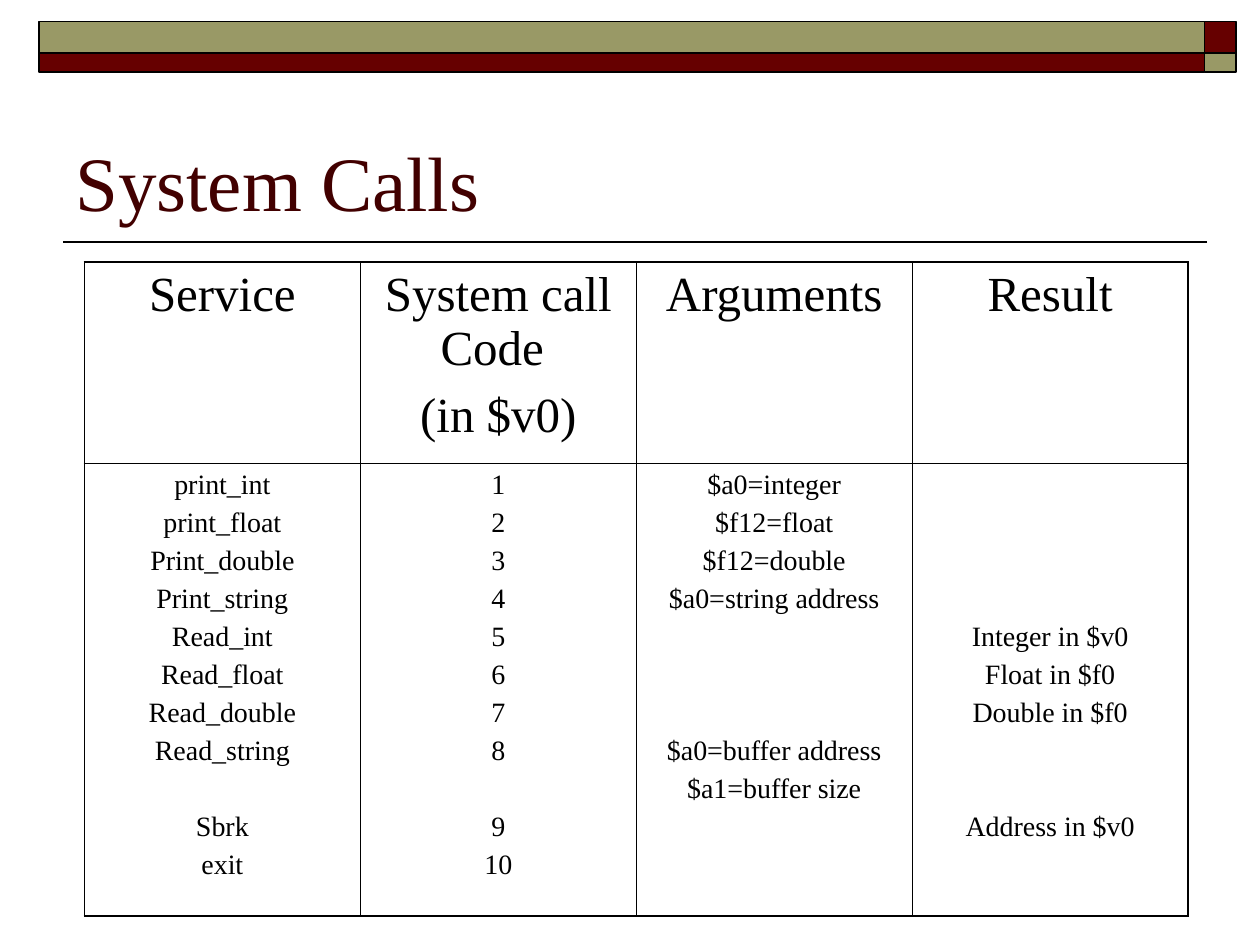
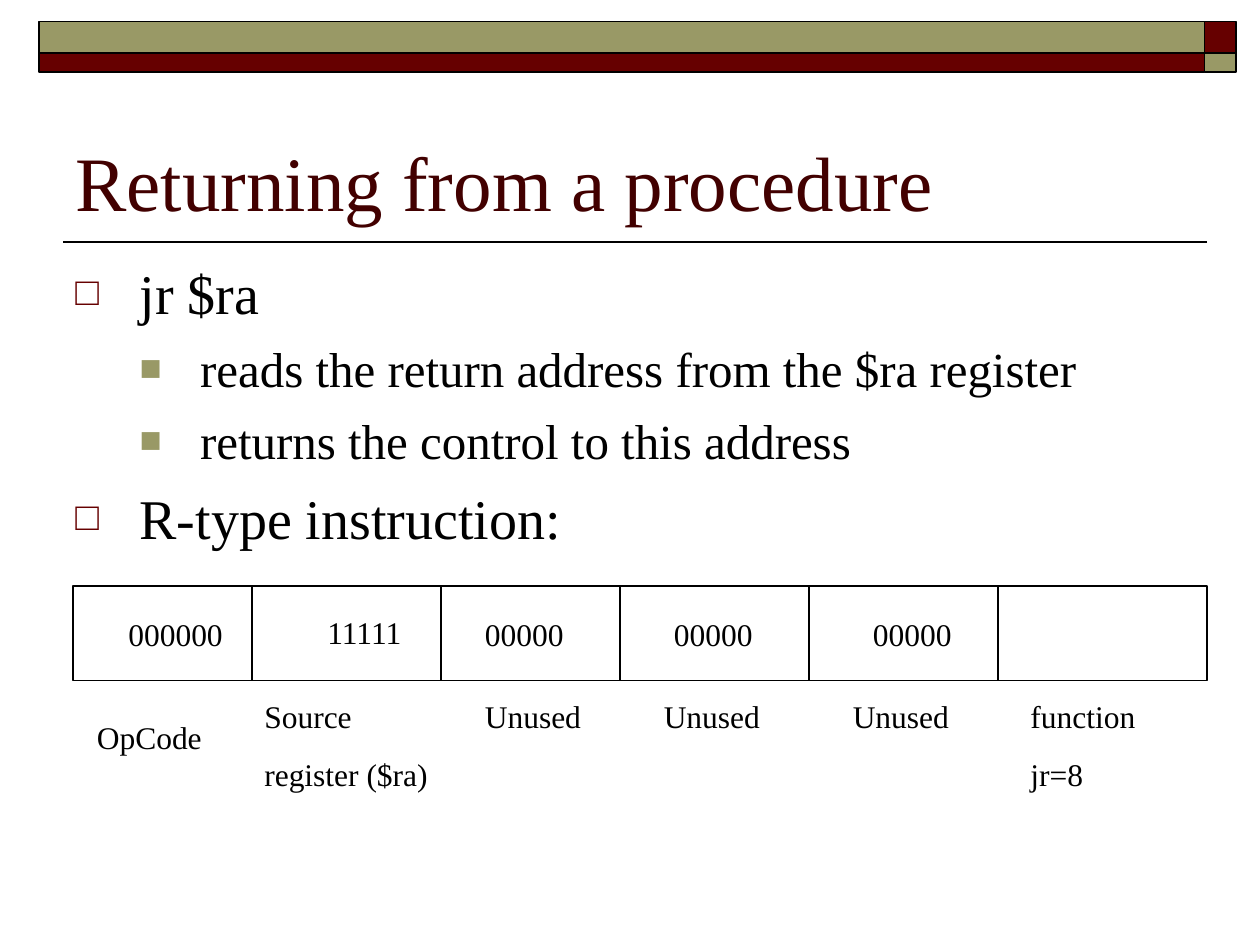
"""Build two slides on system calls and on returning from a procedure."""
from lxml import etree
from pptx import Presentation, util as u
from pptx.dml.color import RGBColor
from pptx.enum import shapes, text
from pptx.oxml import ns

COLORS = {"olive": "999966", "maroon": "660000", "title": "420000",
          "black": "000000", "white": "FFFFFF"}
FONT = "Times New Roman"
TABLE_LEADING, TEXT_LEADING = 1.105, 1.21


def add_element(parent, tag, **attributes):
    return etree.SubElement(parent, ns.qn(tag), attributes)


def write(frame, lines, size, color="black", before=0, leading=TEXT_LEADING, align="LEFT"):
    """Write lines; None leaves a line open, and open lines become spacing."""
    pitch = size * leading + before
    open_lines = 0
    started = False
    for line in lines:
        if line is None:
            open_lines += 1
            continue
        para = frame.add_paragraph() if started else frame.paragraphs[0]
        if started:
            para.space_before = u.Pt(round(before + open_lines * pitch, 1))
        elif open_lines:
            frame._txBody.getparent().tcPr.set("marT", str(u.Inches(0.05) + u.Pt(open_lines * pitch)))
        para.line_spacing = u.Pt(round(size * leading, 1))
        para.alignment = getattr(text.PP_ALIGN, align)
        span = para.add_run()
        span.text = line
        span.font.size = u.Pt(size)
        span.font.name = FONT
        span.font.color.rgb = RGBColor.from_string(COLORS[color])
        started, open_lines = True, 0


deck = Presentation()
deck.slide_width, deck.slide_height = u.Inches(10), u.Inches(7.5)
calls_page, return_page = [deck.slides.add_slide(deck.slide_layouts[6]) for _ in range(2)]

WORD_LEFT, WORD_TOP, WORD_WIDTH, WORD_HEIGHT = 0.58, 4.65, 9, 0.75
rectangles = [(return_page, WORD_LEFT, WORD_TOP, WORD_WIDTH, WORD_HEIGHT, "white", 0.75)]
lines = [(return_page, x, WORD_TOP, x, WORD_TOP + WORD_HEIGHT, 0.75)
         for x in (2, 3.5, 4.92, 6.42, 7.92)]

for page, title in ((calls_page, "System Calls"), (return_page, "Returning from a procedure")):
    rectangles += [
        (page, 9.56, 0.17, 0.25, 0.25, "maroon", 1),
        (page, 0.31, 0.17, 9.25, 0.25, "olive", 1),
        (page, 0.31, 0.42, 9.25, 0.15, "maroon", 1),
        (page, 9.56, 0.42, 0.25, 0.15, "olive", 1),
    ]
    lines.append((page, 9.58, 1.92, 0.5, 1.92, 1))
    box = page.shapes.add_textbox(u.Inches(0.5), u.Inches(0.58), u.Inches(9), u.Inches(1.25))
    box.text_frame.word_wrap = True
    box.text_frame.vertical_anchor = text.MSO_ANCHOR.BOTTOM
    box.text_frame.margin_bottom = u.Inches(0.03)
    write(box.text_frame, [title], 44, "title")

for page, left, top, width, height, color, weight in rectangles:
    box = page.shapes.add_shape(shapes.MSO_SHAPE.RECTANGLE, u.Inches(left), u.Inches(top),
                                u.Inches(width), u.Inches(height))
    box.shadow.inherit = False
    box.fill.solid()
    box.fill.fore_color.rgb = RGBColor.from_string(COLORS[color])
    box.line.color.rgb = RGBColor.from_string(COLORS["black"])
    box.line.width = u.Pt(weight)

for page, start_x, start_y, end_x, end_y, weight in lines:
    connector = page.shapes.add_connector(shapes.MSO_CONNECTOR.STRAIGHT, u.Inches(start_x),
                                          u.Inches(start_y), u.Inches(end_x), u.Inches(end_y))
    connector.line.color.rgb = RGBColor.from_string(COLORS["black"])
    connector.line.width = u.Pt(weight)
    add_element(connector._element.spPr, "a:effectLst")

columns = [
    (["Service"],
     ["print_int", "print_float", "Print_double", "Print_string", "Read_int", "Read_float",
      "Read_double", "Read_string", None, "Sbrk", "exit"]),
    (["System call Code ", "(in $v0)"],
     ["1", "2", "3", "4", "5", "6", "7", "8", None, "9", "10"]),
    (["Arguments"],
     ["$a0=integer", "$f12=float", "$f12=double", "$a0=string address", None, None, None,
      "$a0=buffer address", "$a1=buffer size"]),
    (["Result"],
     [None, None, None, None, "Integer in $v0", "Float in $f0", "Double in $f0", None, None,
      "Address in $v0"]),
]
table = calls_page.shapes.add_table(2, len(columns), u.Inches(0.67), u.Inches(2.08),
                                    u.Inches(8.76), u.Inches(5.19)).table
table.first_row = table.horz_banding = False
for row, height in zip(table.rows, (1.6, 3.59)):
    row.height = u.Inches(height)
for column_index, column in enumerate(columns):
    table.columns[column_index].width = u.Inches(2.19)
    for row_index, (size, before) in enumerate(((28, 7), (16, 4))):
        cell = table.cell(row_index, column_index)
        write(cell.text_frame, column[row_index], size, before=before,
              leading=TABLE_LEADING, align="CENTER")
        properties = cell._tc.get_or_add_tcPr()
        outer_sides = {"L": column_index == 0, "R": column_index == len(columns) - 1,
                       "T": row_index == 0, "B": row_index == 1}
        for side, outer in outer_sides.items():
            border = add_element(properties, f"a:ln{side}", w=str(u.Pt(1.08 if outer else 0.45)))
            add_element(add_element(border, "a:solidFill"), "a:srgbClr", val=COLORS["black"])
        cell.fill.background()

bullet_levels = [
    {"mark": "□", "color": "maroon", "scale": 70, "left": 0.51, "hang": 0.51, "size": 32, "before": 8},
    {"mark": "■", "color": "olive", "scale": 75, "left": 0.99, "hang": 0.48, "size": 28, "before": 7},
]
points = [
    (0, "jr $ra"),
    (1, "reads the return address from the $ra register"),
    (1, "returns the control to this address"),
    (0, "R-type instruction:"),
]
box = return_page.shapes.add_textbox(u.Inches(0.5), u.Inches(2), u.Inches(9), u.Inches(4.7))
box.text_frame.word_wrap = True
write(box.text_frame, [point for _, point in points], 32)
for index, (para, (level, _)) in enumerate(zip(box.text_frame.paragraphs, points)):
    style = bullet_levels[level]
    para.level = level
    para.line_spacing = u.Pt(round(style["size"] * TEXT_LEADING, 1))
    para.space_before = u.Pt(style["before"] if index else 0)
    para.runs[0].font.size = u.Pt(style["size"])
    properties = para._p.get_or_add_pPr()
    properties.set("marL", str(u.Inches(style["left"])))
    properties.set("indent", str(-u.Inches(style["hang"])))
    add_element(add_element(properties, "a:buClr"), "a:srgbClr", val=COLORS[style["color"]])
    add_element(properties, "a:buSzPct", val=str(style["scale"] * 1000))
    add_element(properties, "a:buFont", typeface=FONT)
    add_element(properties, "a:buChar", char=style["mark"])

word_labels = [
    (0.92, 4.83, 1.25, ["000000"]),
    (2.5, 4.81, 1.33, ["11111"]),
    (3.75, 4.83, 1.33, ["00000"]),
    (5.25, 4.83, 1.33, ["00000"]),
    (6.83, 4.83, 1.33, ["00000"]),
    (0.67, 5.65, 1.42, ["OpCode"]),
    (2, 5.48, 1.5, ["Source", "register ($ra)"]),
    (3.75, 5.48, 1.5, ["Unused"]),
    (5.17, 5.48, 1.5, ["Unused"]),
    (6.67, 5.48, 1.5, ["Unused"]),
    (8.08, 5.48, 1.5, ["function", "jr=8"]),
]
for left, top, width, label in word_labels:
    box = return_page.shapes.add_textbox(u.Inches(left), u.Inches(top), u.Inches(width),
                                         u.Inches(0.4 + 0.46 * (len(label) - 1)))
    box.text_frame.word_wrap = True
    write(box.text_frame, label, 18, before=11.2)

deck.save("out.pptx")
